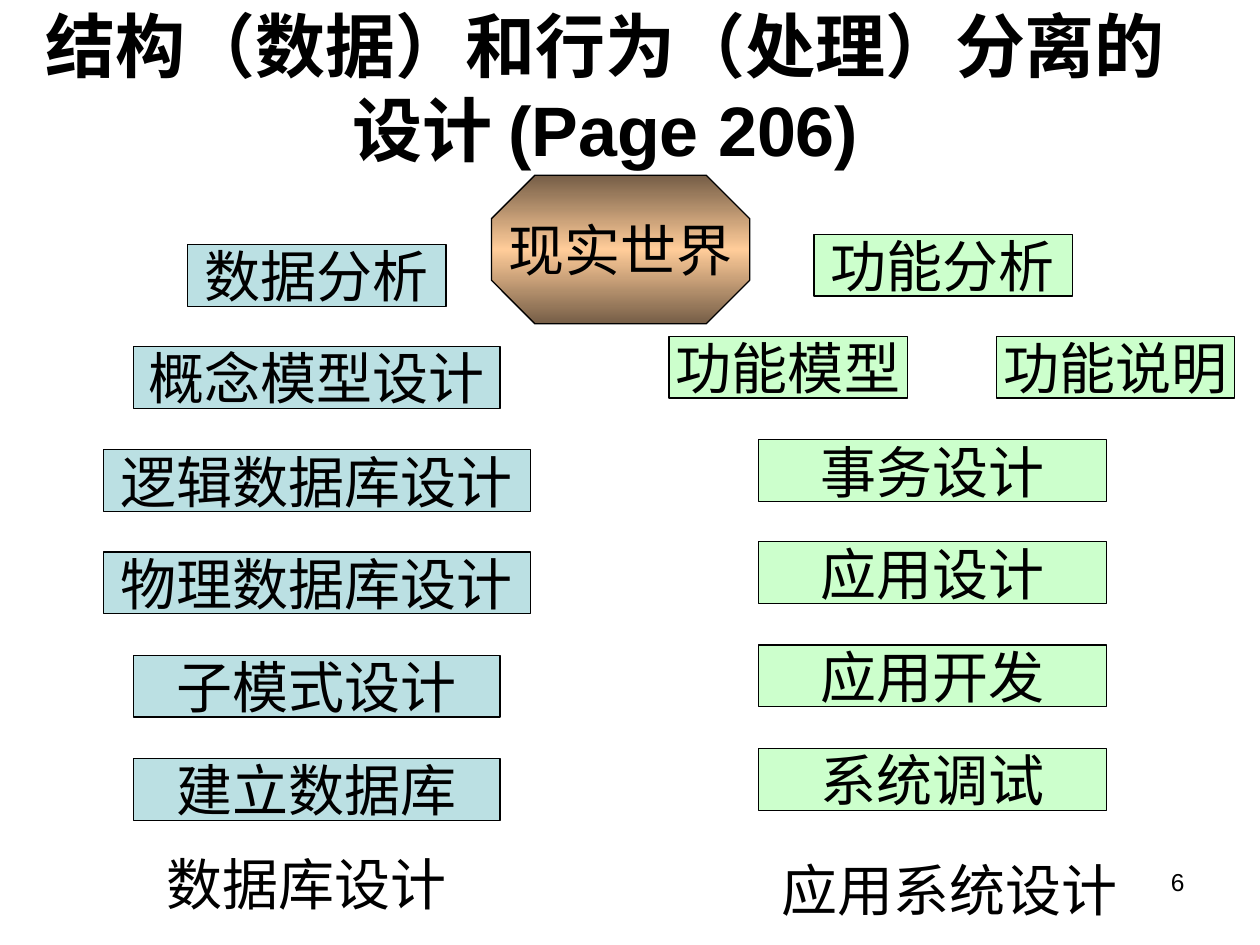
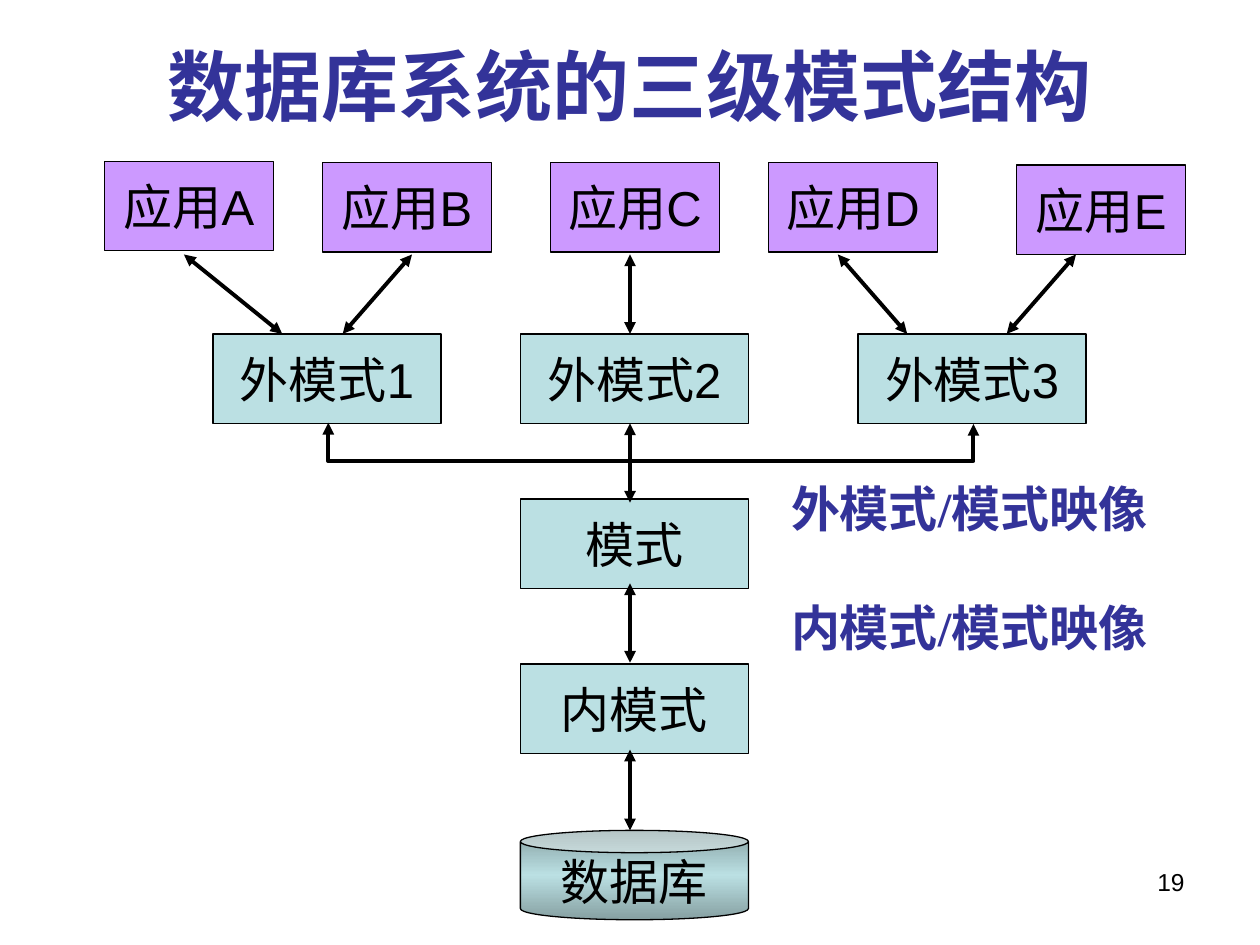
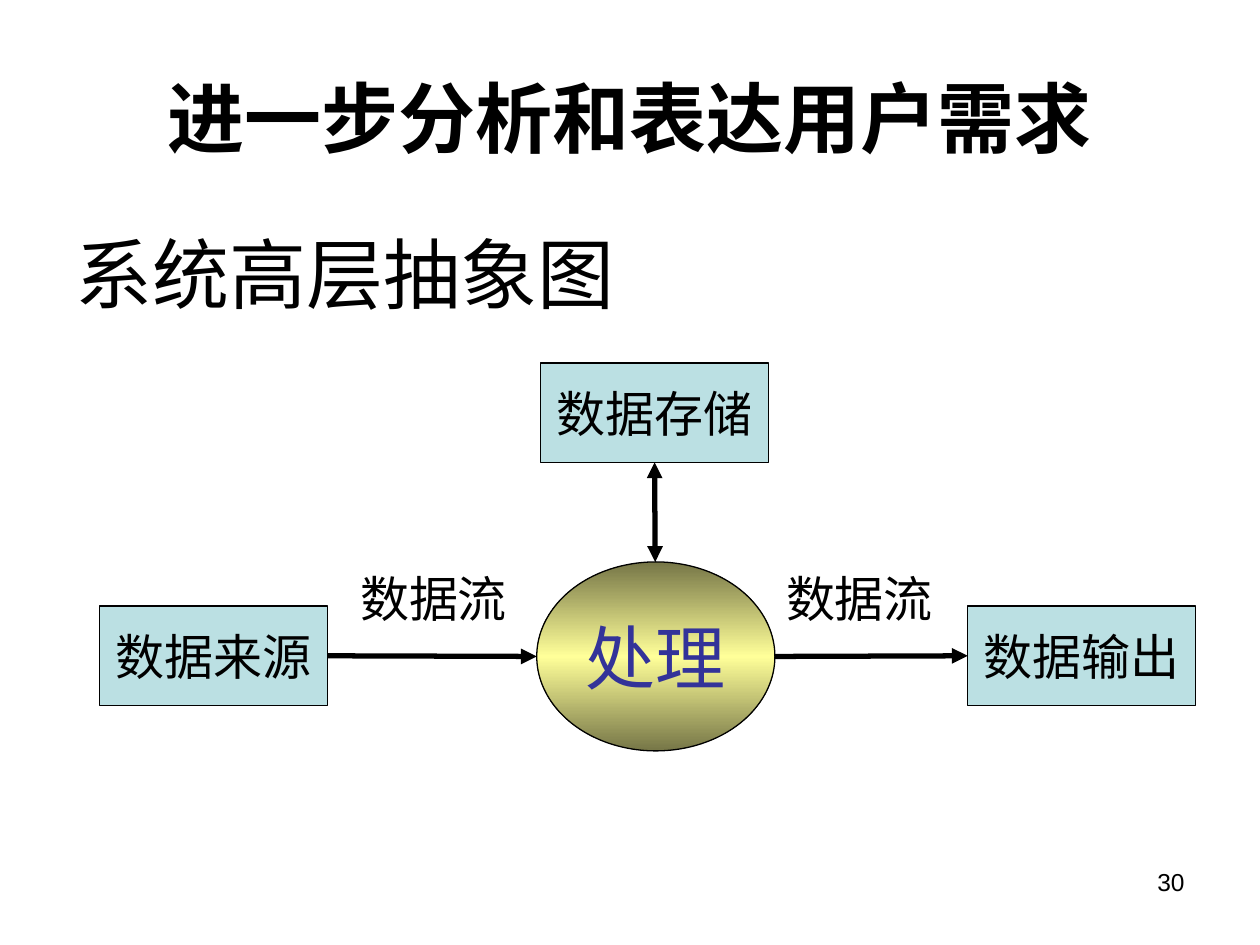
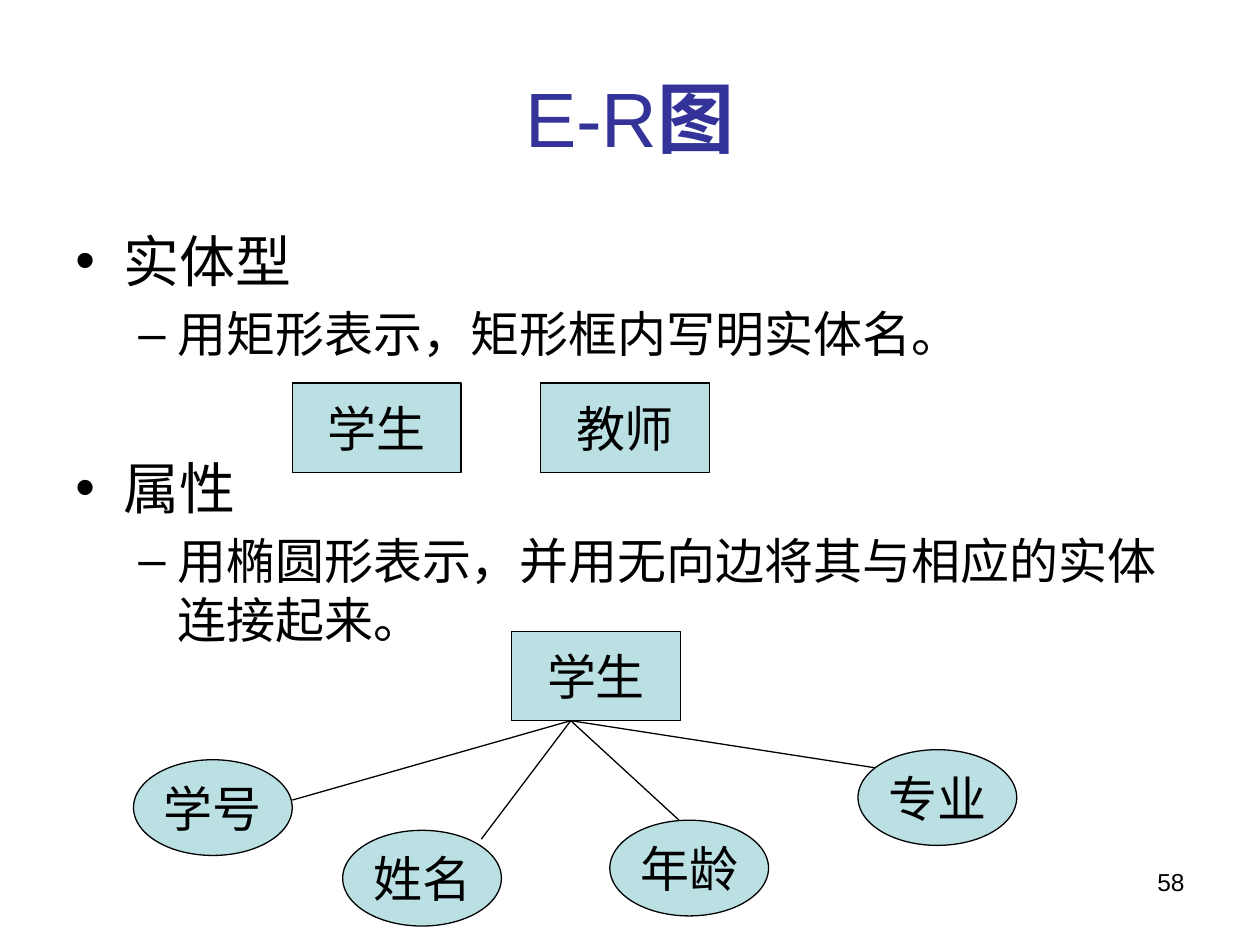
from copy import deepcopy
from lxml.etree import SubElement
from pptx import Presentation
from pptx.dml.color import RGBColor
from pptx.enum.shapes import MSO_CONNECTOR, MSO_SHAPE
from pptx.enum.text import MSO_ANCHOR, PP_ALIGN
from pptx.oxml.ns import qn
from pptx.util import Pt

# Shared look: 100 px to the inch
PX = 9144
hue = RGBColor.from_string
BLACK, NAVY = "000000", "333399"
BLUE, GREEN, VIOLET = "BBE0E3", "CCFFCC", "CC99FF"
ARIAL, TIMES = "Arial", "Times New Roman"
RECT, OVAL = MSO_SHAPE.RECTANGLE, MSO_SHAPE.OVAL
MID, TOP = MSO_ANCHOR.MIDDLE, MSO_ANCHOR.TOP
LEFT, CENTER, RIGHT = PP_ALIGN.LEFT, PP_ALIGN.CENTER, PP_ALIGN.RIGHT


def put(slide, kind, box, text, size=28, name=TIMES, color=BLACK, bold=False,
        fill=BLUE, align=CENTER, anchor=MID, pad=5, adj=None):
    """Add a shape, or a plain text box when kind is None."""
    box = [v * PX for v in box]
    if kind is None:
        shape = slide.shapes.add_textbox(*box)
    else:
        shape = slide.shapes.add_shape(kind, *box)
        shape.shadow.inherit = False
        shape.line.color.rgb = hue(BLACK)
        shape.line.width = Pt(0.75)
        if adj:
            shape.adjustments[0] = adj
        if isinstance(fill, str):
            shape.fill.solid()
            shape.fill.fore_color.rgb = hue(fill)
        else:
            # Edge colour, middle colour, edge colour
            shape.fill.gradient()
            shape.fill.gradient_angle = 270
            for stop, tone in zip(shape.fill.gradient_stops, fill):
                stop.color.rgb = hue(tone)
            stops = shape._element.spPr.find(qn("a:gradFill")).find(qn("a:gsLst"))
            stops.append(deepcopy(stops[0]))
            for stop, pos in zip(stops, (0, 50000, 100000)):
                stop.set("pos", str(pos))
    frame = shape.text_frame
    look = {"word_wrap": kind is None, "vertical_anchor": anchor,
            "margin_left": 10 * PX, "margin_right": 10 * PX,
            "margin_top": pad * PX, "margin_bottom": pad * PX}
    for key, val in look.items():
        setattr(frame, key, val)
    para = frame.paragraphs[0]
    para.alignment = align
    run = para.add_run()
    run.text = text
    for key, val in {"size": Pt(size), "name": name, "bold": bold}.items():
        setattr(run.font, key, val)
    run.font.color.rgb = hue(color)
    return shape


def link(slide, ends, width=0.75, heads=(), kind=MSO_CONNECTOR.STRAIGHT):
    """Add a black line with triangles at the named ends."""
    line = slide.shapes.add_connector(kind, *[v * PX for v in ends])
    line.line.color.rgb = hue(BLACK)
    line.line.width = Pt(width)
    for end in heads:
        SubElement(line.line._get_or_add_ln(), qn(f"a:{end}End"), type="triangle")
    SubElement(line._element.spPr, qn("a:effectLst"))
    return line


deck = Presentation()
deck.slide_width, deck.slide_height = 1000 * PX, 750 * PX

# Titles and page numbers
heads = [
    ("结构（数据）和行为（处理）分离的设计 (Page 206)", (12, 6, 937, 125), 40, BLACK, True, 6),
    ("数据库系统的三级模式结构", (50, 5, 900, 125), 44, NAVY, True, 19),
    ("进一步分析和表达用户需求", (50, 30, 900, 125), 44, BLACK, True, 30),
    ("E-R", (50, 30, 900, 125), 44, NAVY, False, 58),
]
pages, titles = [], []
for text, box, size, color, bold, num in heads:
    page = deck.slides.add_slide(deck.slide_layouts[6])
    pages.append(page)
    titles.append(put(page, None, box, text, size, ARIAL, color, bold))
    put(page, None, (717, 683, 233, 52), str(num), 14, ARIAL, align=RIGHT, anchor=TOP)
split, levels, flow, er = pages

# Slide 1: data steps on the left, function steps on the right
data = [("数据分析", 205), ("概念模型设计", 291), ("逻辑数据库设计", 339),
        ("物理数据库设计", 339), ("子模式设计", 291), ("建立数据库", 291)]
for row, (text, wide) in enumerate(data):
    box = ((503 - wide) // 2, 194 + 408 * row // 5, wide, 49)
    put(split, RECT, box, text, 32, pad=1)
funcs = [(0, 646, 205, "功能分析"), (1, 531, 189, "功能模型"), (1, 791, 189, "功能说明"),
         (2, 602, 276, "事务设计"), (3, 602, 276, "应用设计"),
         (4, 602, 276, "应用开发"), (5, 602, 276, "系统调试")]
for row, x, wide, text in funcs:
    put(split, RECT, (x, 186 + 408 * row // 5, wide, 49), text, 32, fill=GREEN, pad=1)
for box, text in [((122, 669, 268, 63), "数据库设计"), ((610, 674, 299, 63), "应用系统设计")]:
    put(split, None, box, text, 32, align=LEFT, anchor=TOP)
put(split, MSO_SHAPE.OCTAGON, (390, 139, 205, 118), "现实世界", 32,
    fill=("765E47", "FFCC99"), adj=0.293)

# Slide 2: applications, schemas and database
apps = [(83, 128), (256, 129), (437, 129), (610, 129), (807, 131)]
for mark, (x, y) in zip("ABCDE", apps):
    put(levels, RECT, (x, y, 134, 71), f"应用{mark}", name=ARIAL, fill=VIOLET)
views = [(169, 265, "外模式1"), (413, 265, "外模式2"), (681, 265, "外模式3"),
         (413, 396, "模式"), (413, 527, "内模式")]
for x, y, text in views:
    put(levels, RECT, (x, y, 181, 71), text, name=ARIAL)
put(levels, MSO_SHAPE.CAN, (413, 659, 181, 71), "数据库", name=ARIAL,
    fill=("86A0A2", BLUE), adj=0.25)
both = ("head", "tail")
for ends in [(146, 202, 224, 265), (272, 265, 327, 202), (500, 202, 500, 265),
             (665, 202, 720, 265), (799, 265, 854, 202), (500, 336, 500, 399),
             (500, 463, 500, 526), (500, 595, 500, 659)]:
    link(levels, ends, 2.25, both)

# Bracket under the outer schemas: a quarter-turned elbow, 31 px deep
bent = link(levels, (517, 80, 516, 592), 2.25, both, MSO_CONNECTOR.ELBOW)
form = bent._element.spPr
form.find(qn("a:xfrm")).set("rot", "16200000")
geom = form.find(qn("a:prstGeom"))
guides = geom.find(qn("a:avLst"))
if guides is None:
    guides = SubElement(geom, qn("a:avLst"))
SubElement(guides, qn("a:gd"), name="adj1", fmla="val 3100000")

for y, text in [(375, "外模式/模式映像"), (469, "内模式/模式映像")]:
    put(levels, None, (618, y, 323, 57), text, color=NAVY, bold=True, align=LEFT, anchor=TOP)

# Slide 3: data flow
put(flow, None, (50, 175, 639, 98), "系统高层抽象图", 44, ARIAL, align=LEFT, anchor=TOP)
source, sink, store = [
    put(flow, RECT, (x, y, 181, 79), text)
    for x, y, text in [(79, 481, "数据来源"), (768, 481, "数据输出"), (429, 288, "数据存储")]]
put(flow, OVAL, (426, 446, 189, 150), "处理", 40, color=NAVY, fill=("767647", "FFFF99"))
link(flow, (260, 520, 426, 521), 3, ["tail"]).begin_connect(source, 3)
link(flow, (520, 367, 520, 446), 3, both).begin_connect(store, 2)
link(flow, (615, 521, 768, 521), 3, ["tail"]).end_connect(sink, 1)
for x in (276, 614):
    put(flow, None, (x, 446, 150, 57), "数据流", align=LEFT, anchor=TOP)

# Slide 4: title ending and bulleted text
tail = titles[3].text_frame.paragraphs[0].add_run()
tail.text = "图"
for key, val in {"size": Pt(44), "name": ARIAL, "bold": True}.items():
    setattr(tail.font, key, val)
tail.font.color.rgb = hue(NAVY)

points = [("实体型", 0, 0), ("用矩形表示，矩形框内写明实体名。", 1, 5.6), ("属性", 0, 52),
          ("用椭圆形表示，并用无向边将其与相应的实体连接起来。", 1, 5.6)]
body = put(er, None, (50, 175, 900, 495), points[0][0], 32, ARIAL,
           align=LEFT, anchor=TOP).text_frame
for text, level, gap in points:
    para = body.add_paragraph() if level or gap else body.paragraphs[0]
    para.level = level
    para.space_before = Pt(gap)
    props = para._p.get_or_add_pPr()
    props.set("marL", str((38, 81)[level] * PX))
    props.set("indent", str((-38, -31)[level] * PX))
    SubElement(props, qn("a:buFont"), typeface=ARIAL)
    SubElement(props, qn("a:buChar"), char="•–"[level])
    para.text = text
    for key, val in {"size": Pt((32, 28)[level]), "name": ARIAL}.items():
        setattr(para.runs[0].font, key, val)
    para.runs[0].font.color.rgb = hue(BLACK)

# Slide 4: entities and attributes
for x, y, text in [(232, 304, "学生"), (429, 304, "教师"), (406, 501, "学生")]:
    put(er, RECT, (x, y, 134, 71), text)
for x, y in [(232, 635), (382, 666), (539, 651), (705, 611)]:
    link(er, (453, 572, x, y))
for x, y, text in [(106, 603, "学号"), (272, 659, "姓名"), (484, 651, "年龄"), (681, 595, "专业")]:
    put(er, OVAL, (x, y, 126, 76), text)

deck.save("out.pptx")
